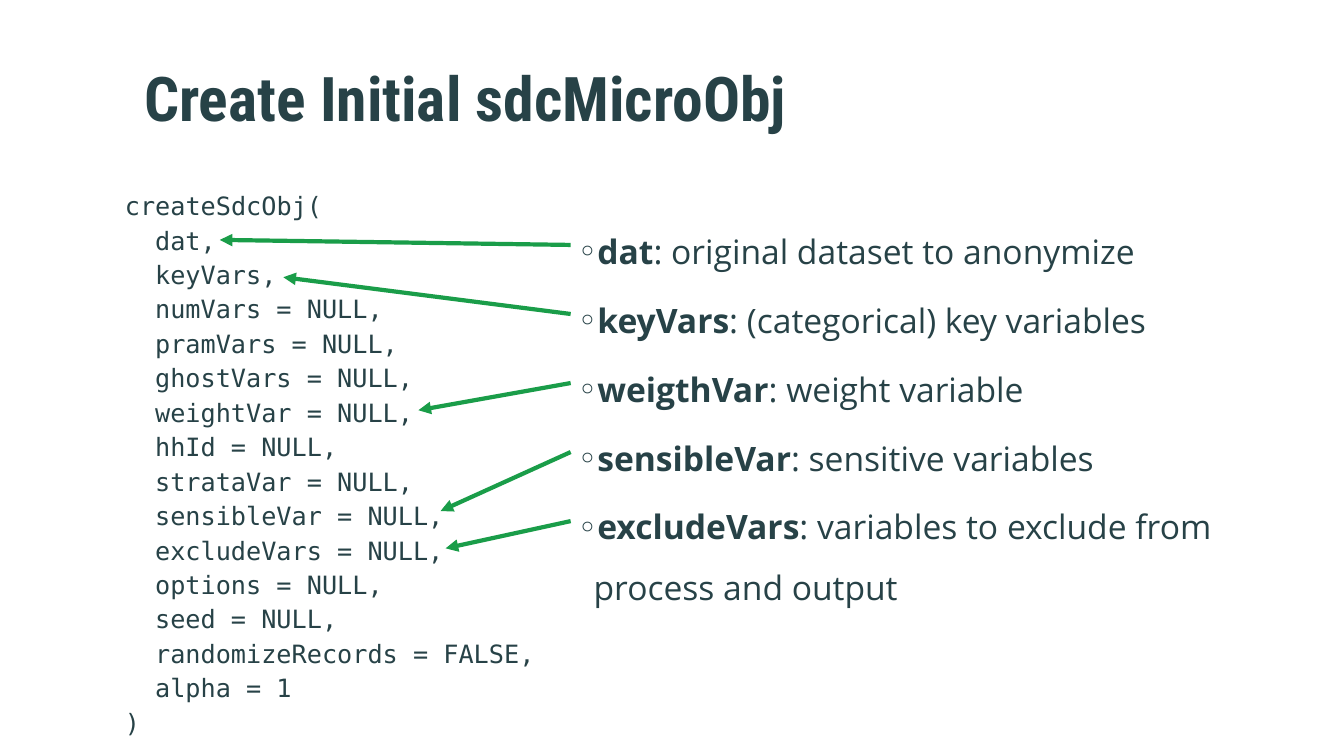
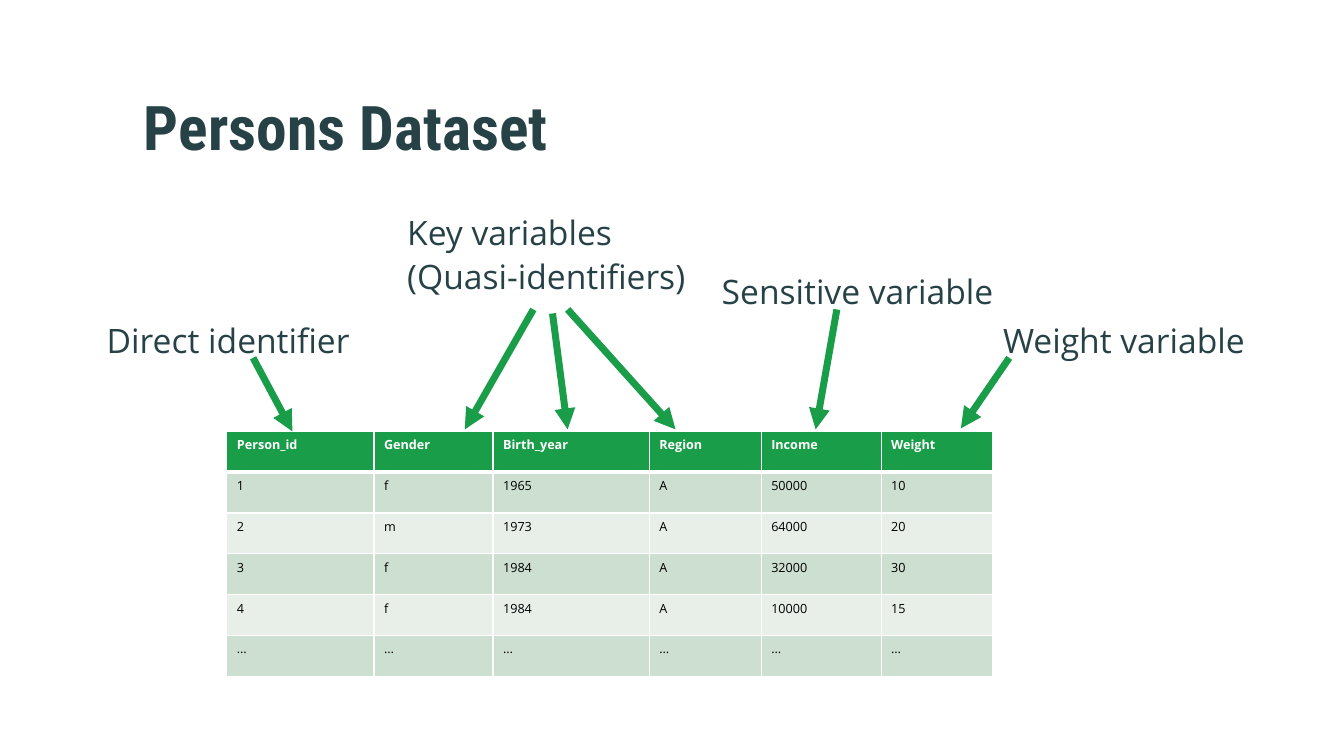
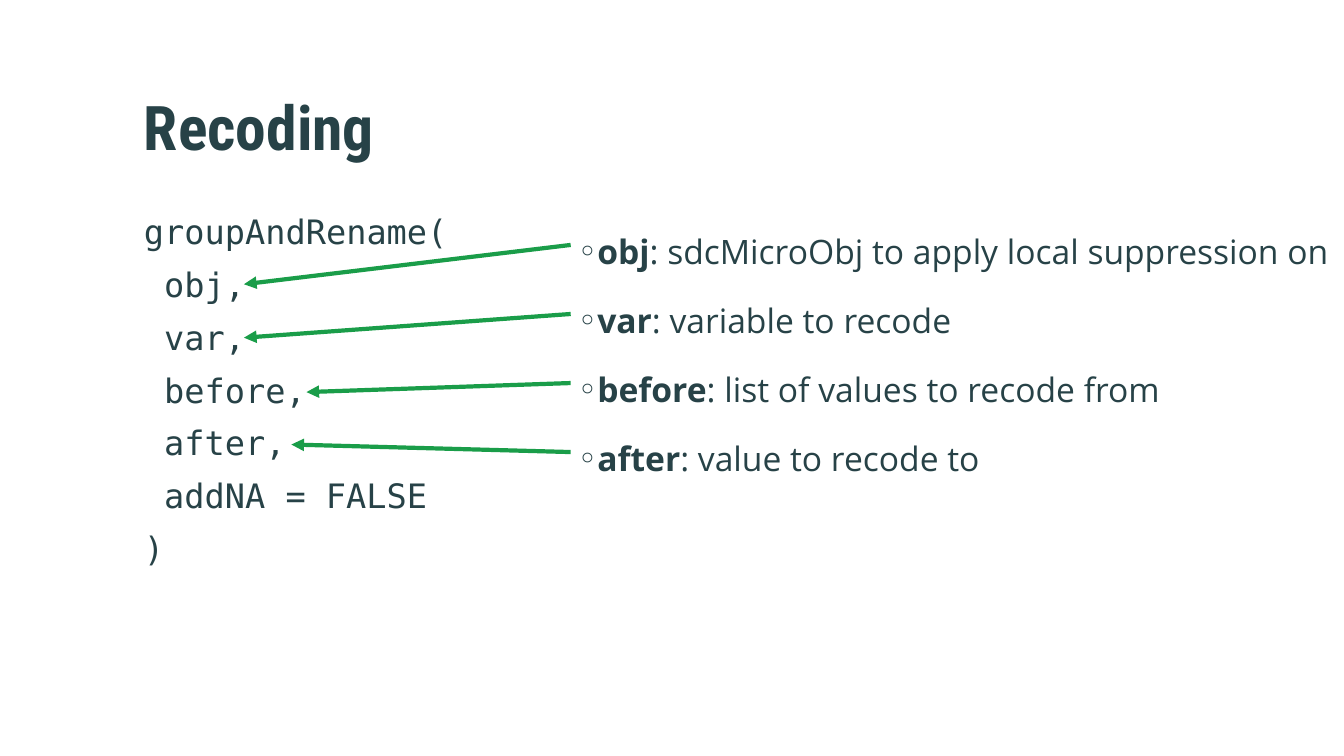
"""Build three slides on creating, describing and recoding an sdcMicro object."""
import pptx
import pptx.dml.color
import pptx.enum.shapes
import pptx.enum.text
import pptx.oxml
import pptx.oxml.ns
import pptx.util

PX = 9144
COLORS = {"ink": "274247", "green": "1A9D49", "white": "FFFFFF", "black": "000000",
          "band": "CDDFD0", "pale": "E8EFE9"}
SANS, MONO, HEAD = "Open Sans", "DejaVu Sans Mono", "Roboto Condensed"
BULLET_ARROW_X, BULLET_ARROW_Y, BULLET_PITCH = 566, 243, 68.5

CODE_SLIDES = {
    "create": dict(
        title="Create Initial sdcMicroObj", title_box=(133, 60, 1108, 86),
        call="createSdcObj(",
        args=["dat,", "keyVars,", "numVars = NULL,", "pramVars = NULL,", "ghostVars = NULL,",
              "weightVar = NULL,", "hhId = NULL,", "strataVar = NULL,", "sensibleVar = NULL,",
              "excludeVars = NULL,", "options = NULL,", "seed = NULL,",
              "randomizeRecords = FALSE,", "alpha = 1"],
        code_box=(114, 184, 446, 547), size=18, after=3, indent=30,
        notes=[("dat", "original dataset to anonymize"),
               ("keyVars", "(categorical) key variables"),
               ("weigthVar", "weight variable"),
               ("sensibleVar", "sensitive variables"),
               ("excludeVars", "variables to exclude from process and output")],
        notes_box=(536, 204, 714, 435),
        targets=[(218, 238), (281, 275), (415, 407), (437, 507), (442, 544)]),
    "recode": dict(
        title="Recoding", title_box=(133, 60, 1056, 143),
        call="groupAndRename(",
        args=["obj,", "var,", "before,", "after,", "addNA = FALSE"],
        code_box=(133, 204, 1056, 486), size=24, after=9, indent=20,
        notes=[("obj", "sdcMicroObj to apply local suppression on"),
               ("var", "variable to recode"),
               ("before", "list of values to recode from"),
               ("after", "value to recode to")],
        notes_box=(536, 204, 797, 435),
        targets=[(242, 282), (242, 335), (304, 389), (289, 441)]),
}

PERSONS_TITLE, PERSONS_TITLE_BOX = "Persons Dataset", (133, 60, 1117, 143)
PERSONS = [
    ("Person_id", "Gender", "Birth_year", "Region", "Income", "Weight"),
    ("1", "f", "1965", "A", "50000", "10"),
    ("2", "m", "1973", "A", "64000", "20"),
    ("3", "f", "1984", "A", "32000", "30"),
    ("4", "f", "1984", "A", "10000", "15"),
    ("…",) * 6,
]
PERSONS_BOX, PERSONS_COLS = (225, 428, 760, 243), (146, 118, 155, 111, 119, 111)
ROLES = [
    (["Direct identifier"], (96, 292, 272, 73), 1.5, 9),
    (["Key variables", "(Quasi-identifiers)"], (394, 205, 309, 73), 1, 3),
    (["Sensitive variable"], (706, 244, 295, 73), 1.5, 9),
    (["Weight variable"], (985, 292, 284, 73), 1.5, 9),
]
ROLE_ARROWS = [(251, 355, 290, 428), (529, 307, 461, 426), (548, 311, 563, 426),
               (563, 307, 670, 426), (830, 307, 809, 426), (1001, 355, 953, 425)]


def px(n):
    return pptx.util.Emu(round(n * PX))


def rgb(name):
    return pptx.dml.color.RGBColor.from_string(COLORS[name])


def sub(parent, tag, **attrs):
    e = pptx.oxml.ns.qn(tag)
    child = parent.makeelement(e, {k: str(v) for k, v in attrs.items()})
    parent.append(child)
    return child


def write(tf, paras, font=SANS, size=24, color="ink", bold=False, spacing=None, after=0,
          indents=(), bullet=None):
    """Fill a text frame; a paragraph is a string or a list of (text, bold) runs."""
    for i, runs in enumerate(paras):
        p = tf.paragraphs[0] if i == 0 else tf.add_paragraph()
        p.space_after = pptx.util.Pt(after)
        if spacing:
            p.line_spacing = spacing
        pPr = p._p.get_or_add_pPr()
        if indents:
            pPr.set("marL", str(px(indents[i])))
        if bullet:
            pPr.set("indent", str(px(-16)))
            sub(pPr, "a:buFont", typeface=SANS)
            sub(pPr, "a:buChar", char=bullet)
        for text, strong in [(runs, bold)] if isinstance(runs, str) else runs:
            r = p.add_run()
            r.text = text
            r.font.name, r.font.size, r.font.bold = font, pptx.util.Pt(size), strong
            r.font.color.rgb = rgb(color)


def add_text(s, box, paras, **fmt):
    tf = s.shapes.add_textbox(*map(px, box)).text_frame
    tf.word_wrap = True
    write(tf, paras, **fmt)
    return tf


def add_title(s, box, text):
    tf = add_text(s, box, [text], font=HEAD, size=44, bold=True, spacing=0.9)
    tf.vertical_anchor = pptx.enum.text.MSO_ANCHOR.MIDDLE
    tf.margin_top = 0


def add_arrow(s, x1, y1, x2, y2, width):
    c = s.shapes.add_connector(pptx.enum.shapes.MSO_CONNECTOR.STRAIGHT,
                               *map(px, (x1, y1, x2, y2)))
    c.line.color.rgb = rgb("green")
    c.line.width = pptx.util.Pt(width)
    sub(c.line._get_or_add_ln(), "a:tailEnd", type="triangle")
    sub(c._element.spPr, "a:effectLst")


def set_borders(cell, header):
    tcPr = cell._tc.get_or_add_tcPr()
    for i, side in enumerate(("lnL", "lnR", "lnT", "lnB")):
        ln = pptx.oxml.parse_xml(
            f'<a:{side} {pptx.oxml.ns.nsdecls("a")} w="{38100 if header and side == "lnB" else 12700}">'
            f'<a:solidFill><a:srgbClr val="{COLORS["white"]}"/></a:solidFill></a:{side}>')
        tcPr.insert(i, ln)


def add_persons_table(s):
    t = s.shapes.add_table(len(PERSONS), len(PERSONS_COLS), *map(px, PERSONS_BOX)).table
    for col, width in zip(t.columns, PERSONS_COLS):
        col.width = px(width)
    for i, values in enumerate(PERSONS):
        header = i == 0
        fill = "green" if header else "band" if i % 2 else "pale"
        for j, value in enumerate(values):
            cell = t.cell(i, j)
            cell.fill.solid()
            cell.fill.fore_color.rgb = rgb(fill)
            set_borders(cell, header)
            write(cell.text_frame, [value], size=9, bold=header,
                  color="white" if header else "black")


def build_code_slide(s, d):
    lines = [d["call"], *d["args"], ")"]
    add_text(s, d["code_box"], lines, font=MONO, size=d["size"], after=d["after"],
             indents=[0, *[d["indent"]] * len(d["args"]), 0])
    add_text(s, d["notes_box"], [[(k, True), (": " + v, False)] for k, v in d["notes"]],
             spacing=1.5, after=6, indents=[43] * len(d["notes"]), bullet="◦")
    for i, (x, y) in enumerate(d["targets"]):
        add_arrow(s, BULLET_ARROW_X, BULLET_ARROW_Y + i * BULLET_PITCH, x, y, 3)
    add_title(s, d["title_box"], d["title"])


def build_persons_slide(s):
    add_title(s, PERSONS_TITLE_BOX, PERSONS_TITLE)
    add_persons_table(s)
    for paras, box, spacing, after in ROLES:
        add_text(s, box, paras, spacing=spacing, after=after)
    for ends in ROLE_ARROWS:
        add_arrow(s, *ends, 5)


def main():
    prs = pptx.Presentation()
    prs.slide_width, prs.slide_height = px(1333), px(750)
    slides = [prs.slides.add_slide(prs.slide_layouts[6]) for _ in range(3)]
    build_code_slide(slides[0], CODE_SLIDES["create"])
    build_persons_slide(slides[1])
    build_code_slide(slides[2], CODE_SLIDES["recode"])
    prs.save("out.pptx")


if __name__ == "__main__":
    main()
